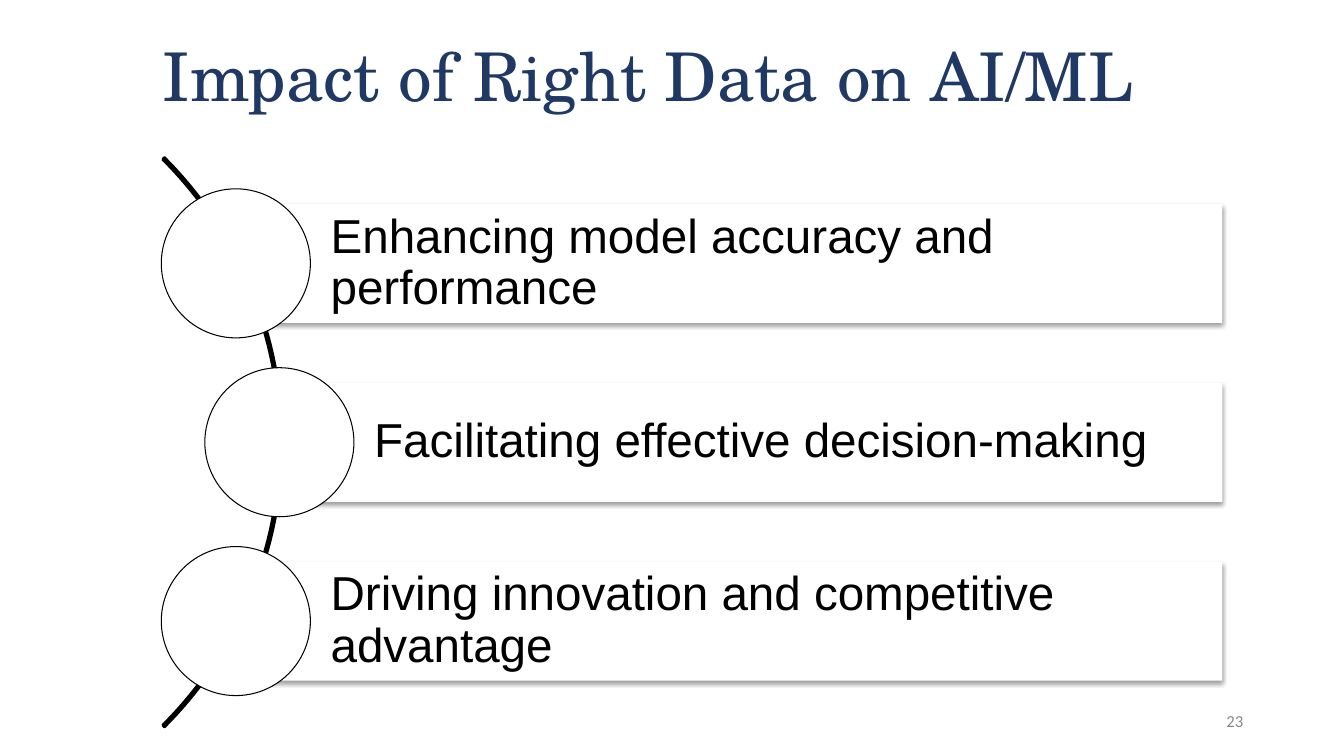
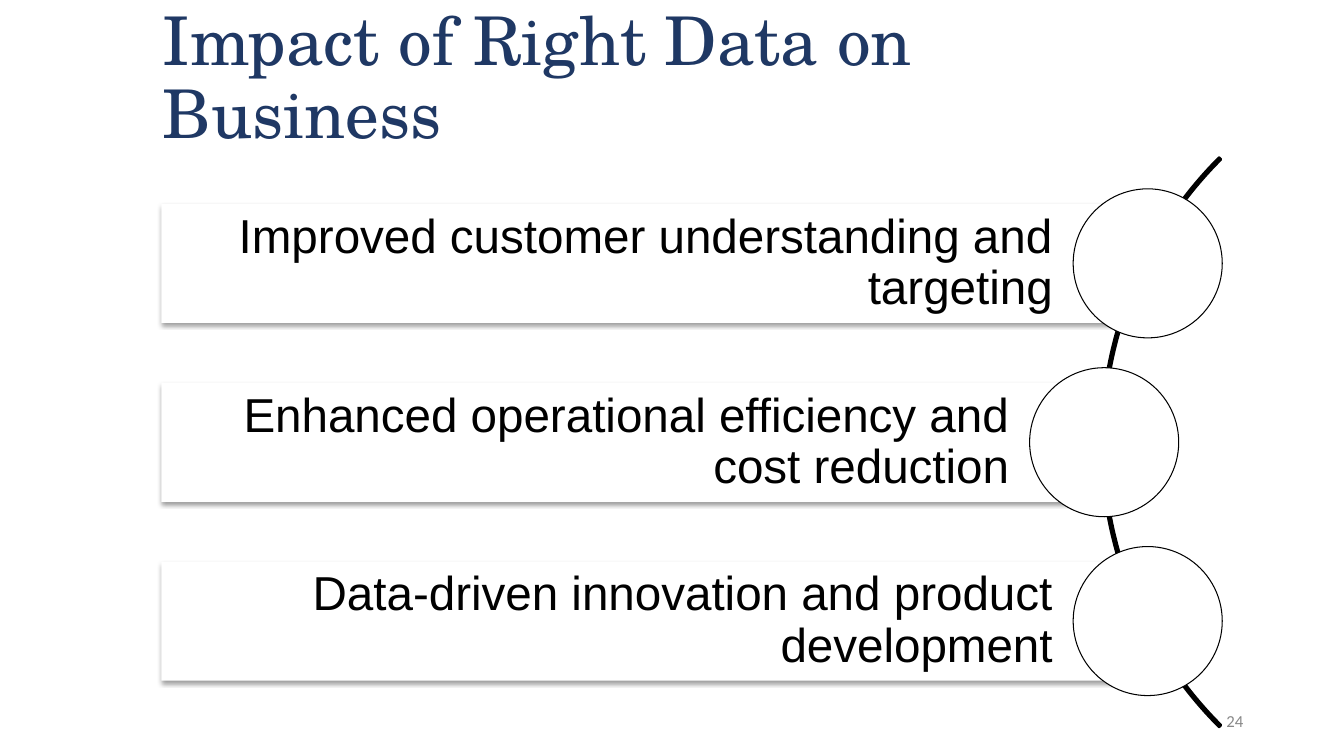
import pptx
import pptx.dml.color
import pptx.enum.shapes
import pptx.enum.text
import pptx.oxml
import pptx.oxml.ns
import pptx.util

SHAPES = pptx.enum.shapes.MSO_SHAPE
ALIGN = pptx.enum.text.PP_ALIGN

NAVY = "1F3864"
GREY = "888888"
BLACK = "000000"
WHITE = "FFFFFF"

# The grid starts at the top left of the diagram, which is ten rows high.
ORIGIN_X, ORIGIN_Y = 1.6, 1.43
CELL = 5.915 / 10
COLUMNS = 17.79

CIRCLE_SIZE = 2.5
BAR_HEIGHT = 2
ROW_CENTRES = (2, 5, 8)
MIDDLE_SHIFT = 0.73
ARC_CENTRE, ARC_RADIUS = -4.72, 6.75
ARC_THICKNESS = 0.003

SLIDES = [
    ("Impact of Right Data on AI/ML", 23, False, [
        "Enhancing model accuracy and performance",
        "Facilitating effective decision-making",
        "Driving innovation and competitive advantage",
    ]),
    ("Impact of Right Data on Business", 24, True, [
        "Improved customer understanding and targeting",
        "Enhanced operational efficiency and cost reduction",
        "Data-driven innovation and product development",
    ]),
]


def color(hex_string):
    return pptx.dml.color.RGBColor.from_string(hex_string)


def cells(count):
    return pptx.util.Inches(count * CELL)


class Deck:
    """Holds the style, the current slide and the side its arc stands on."""

    def __init__(self):
        self.presentation = pptx.Presentation()
        self.presentation.slide_width = pptx.util.Inches(13.33)
        self.presentation.slide_height = pptx.util.Inches(7.5)

    def start_slide(self, mirrored):
        layout = self.presentation.slide_layouts[6]
        self.slide = self.presentation.slides.add_slide(layout)
        self.mirrored = mirrored

    def frame(self, column, row, width, height):
        """Turn a place on the grid into lengths on the slide."""
        return (pptx.util.Inches(ORIGIN_X + column * CELL),
                pptx.util.Inches(ORIGIN_Y + row * CELL),
                cells(width), cells(height))

    def set_text(self, shape, text, font, size, hex_string, align=ALIGN.LEFT, spacing=1):
        text_frame = shape.text_frame
        text_frame.word_wrap = True
        text_frame.vertical_anchor = pptx.enum.text.MSO_ANCHOR.MIDDLE
        paragraph = text_frame.paragraphs[0]
        paragraph.text = text
        paragraph.alignment = align
        paragraph.line_spacing = spacing
        paragraph.font.name = font
        paragraph.font.size = pptx.util.Pt(size)
        paragraph.font.color.rgb = color(hex_string)

    def title(self, text):
        box = self.slide.shapes.add_textbox(*self.frame(-0.14, -2.3, 17.2, 2.45))
        self.set_text(box, text, "TeX Gyre Schola", 48, NAVY, spacing=0.9)

    def page_number(self, number):
        box = self.slide.shapes.add_textbox(*self.frame(13.23, 9.34, 5.08, 0.68))
        self.set_text(box, str(number), "Calibri", 12, GREY, ALIGN.RIGHT)

    def shape(self, kind, column, row, width, height, fill=None, line=None):
        """Add a preset shape, flipped across the diagram on mirrored slides."""
        if self.mirrored:
            column = COLUMNS - column - width
        shape = self.slide.shapes.add_shape(kind, *self.frame(column, row, width, height))
        shape.shadow.inherit = False
        if fill:
            shape.fill.solid()
            shape.fill.fore_color.rgb = color(fill)
        else:
            shape.fill.background()
        if line:
            shape.line.color.rgb = color(BLACK)
            shape.line.width = pptx.util.Pt(line)
        else:
            shape.line.fill.background()
        return shape

    def arc(self):
        size = 2 * ARC_RADIUS
        arc = self.shape(SHAPES.BLOCK_ARC, ARC_CENTRE - ARC_RADIUS, 5 - ARC_RADIUS,
                         size, size, line=2)
        start, end = (135, 225) if self.mirrored else (315, 45)
        # Angles are stored in 60000ths of a degree, adjustments in 100000ths.
        arc.adjustments[0] = start * 0.6
        arc.adjustments[1] = end * 0.6
        arc.adjustments[2] = ARC_THICKNESS

    def drop_shadow(self, shape):
        effects = shape._element.spPr.find(pptx.oxml.ns.qn("a:effectLst"))
        effects.append(pptx.oxml.parse_xml(
            f'<a:outerShdw {pptx.oxml.ns.nsdecls("a")} blurRad="40000" dist="20000"'
            ' dir="5400000" rotWithShape="0">'
            f'<a:srgbClr val="{BLACK}"><a:alpha val="38000"/></a:srgbClr></a:outerShdw>'))

    def bar(self, text, column, centre):
        bar = self.shape(SHAPES.RECTANGLE, column, centre - BAR_HEIGHT / 2,
                         COLUMNS - column, BAR_HEIGHT, fill=WHITE)
        self.drop_shadow(bar)
        self.set_text(bar, text, "Arial", 34, BLACK,
                      ALIGN.RIGHT if self.mirrored else ALIGN.LEFT, 0.9)
        text_frame = bar.text_frame
        near, far = cells(1.59), cells(0.15)
        text_frame.margin_top = text_frame.margin_bottom = far
        text_frame.margin_left = far if self.mirrored else near
        text_frame.margin_right = near if self.mirrored else far

    def circle(self, column, centre):
        radius = CIRCLE_SIZE / 2
        self.shape(SHAPES.OVAL, column - radius, centre - radius,
                   CIRCLE_SIZE, CIRCLE_SIZE, fill=WHITE, line=0.75)

    def curved_list(self, items):
        self.arc()
        for index, (text, centre) in enumerate(zip(items, ROW_CENTRES)):
            column = CIRCLE_SIZE / 2 + (MIDDLE_SHIFT if index == 1 else 0)
            self.bar(text, column, centre)
            self.circle(column, centre)


def main():
    deck = Deck()
    for title, number, mirrored, items in SLIDES:
        deck.start_slide(mirrored)
        deck.title(title)
        deck.page_number(number)
        deck.curved_list(items)
    deck.presentation.save("out.pptx")


if __name__ == "__main__":
    main()
